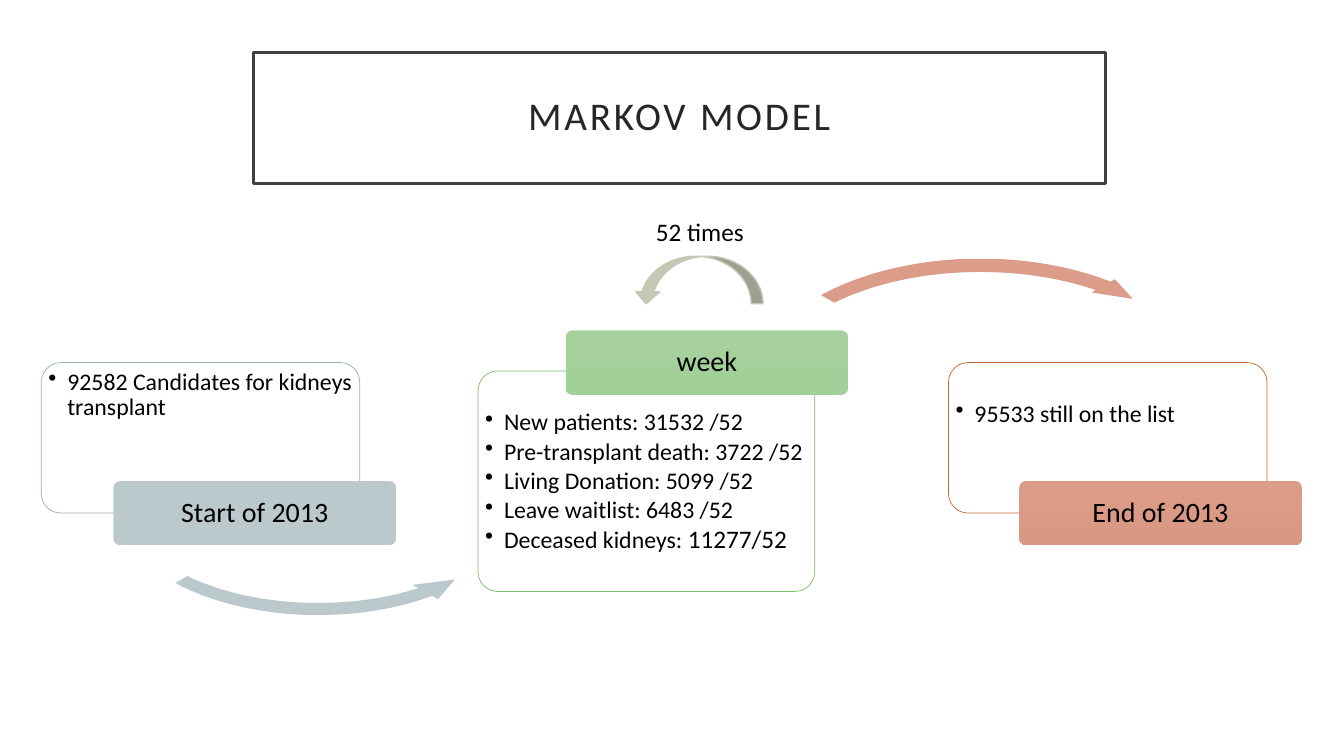
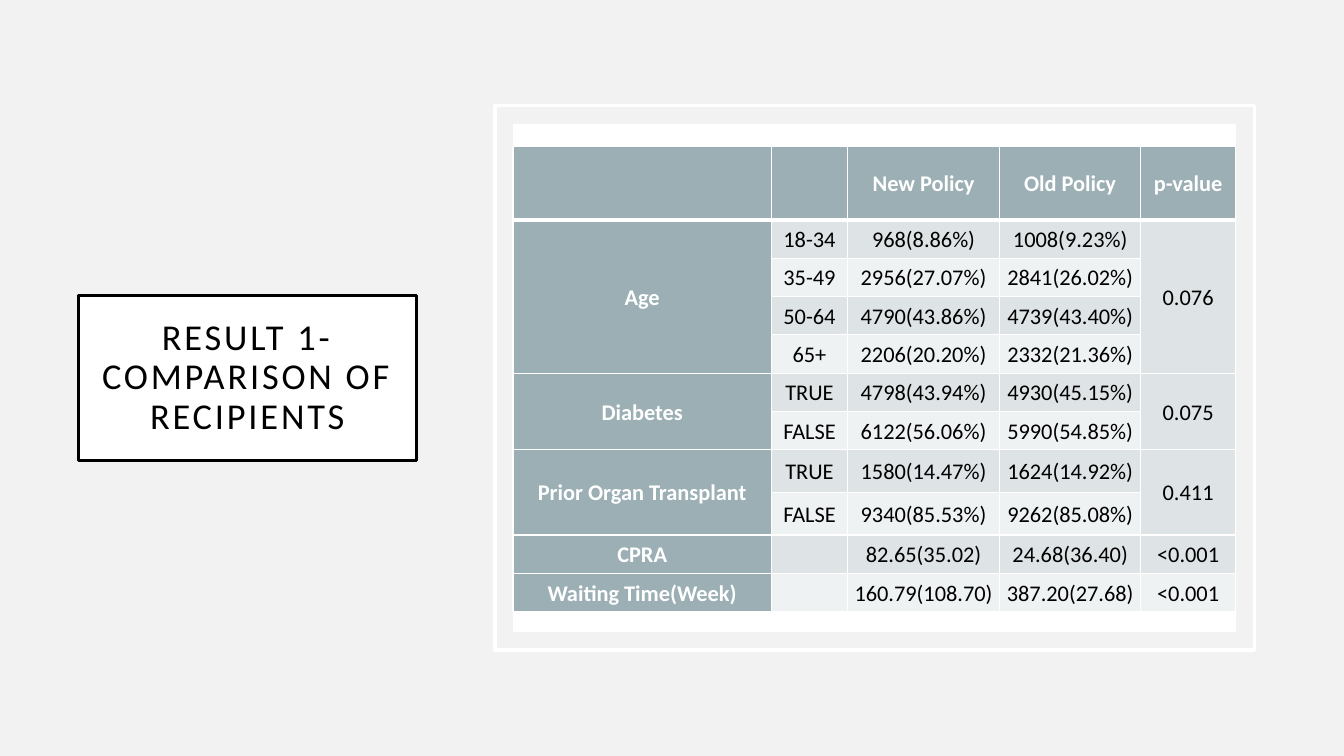
import pptx
import pptx.dml.color
import pptx.enum.shapes
import pptx.enum.text
import pptx.oxml
import pptx.oxml.ns
import pptx.util

Pt = pptx.util.Pt
SHAPES = pptx.enum.shapes.MSO_SHAPE
ALIGN = pptx.enum.text.PP_ALIGN
ANCHOR = pptx.enum.text.MSO_ANCHOR

FONT = "Calibri"
COLORS = {
    "white": "FFFFFF", "black": "000000", "charcoal": "404040", "title": "262626",
    "page": "F2F2F2", "slate": "9BAFB5", "band": "DEE3E5", "band_light": "EFF2F3",
    "green": "7ABC69", "rust": "C96731", "loop": "C4C8B5",
}
GRADIENTS = {
    "start": ("BBC8CC", "B8C6CB"),
    "week": ("A6D19D", "A2D099"),
    "end": ("DB9C89", "DA9882"),
}
BOX_RADIUS = 14
LABEL_RADIUS = 5
LABEL_SIZE = (202, 46)

HEADINGS = ["", "", "New Policy", "Old Policy", "p-value"]
GROUPS = [
    ("Age", "0.076", [
        ("18-34", "968(8.86%)", "1008(9.23%)"),
        ("35-49", "2956(27.07%)", "2841(26.02%)"),
        ("50-64", "4790(43.86%)", "4739(43.40%)"),
        ("65+", "2206(20.20%)", "2332(21.36%)"),
    ]),
    ("Diabetes", "0.075", [
        ("TRUE", "4798(43.94%)", "4930(45.15%)"),
        ("FALSE", "6122(56.06%)", "5990(54.85%)"),
    ]),
    ("Prior Organ Transplant", "0.411", [
        ("TRUE", "1580(14.47%)", "1624(14.92%)"),
        ("FALSE", "9340(85.53%)", "9262(85.08%)"),
    ]),
    ("CPRA", "<0.001", [("", "82.65(35.02)", "24.68(36.40)")]),
    ("Waiting Time(Week)", "<0.001", [("", "160.79(108.70)", "387.20(27.68)")]),
]
COLUMN_WIDTHS = [184.5, 54.5, 108.5, 101, 67.5]
ROW_HEIGHTS = [52.5] + [27.4] * 6 + [30.4] * 2 + [27.4] * 2


def rgb(name):
    return pptx.dml.color.RGBColor.from_string(COLORS[name])


def add_text(paragraph, text, size=16, color="black", bold=False, spacing=0,
             align=ALIGN.LEFT, line_spacing=0.9):
    paragraph.alignment = align
    paragraph.line_spacing = line_spacing
    run = paragraph.add_run()
    run.text = text
    run.font.name = FONT
    run.font.size = Pt(size)
    run.font.bold = bold
    run.font.color.rgb = rgb(color)
    if spacing:
        run.font._element.set("spc", str(spacing * 100))


def set_margins(target, left, top, right, bottom):
    target.margin_left, target.margin_top = Pt(left), Pt(top)
    target.margin_right, target.margin_bottom = Pt(right), Pt(bottom)


def add_shape(slide, kind, bounds, fill=None, gradient=None, line=None, line_width=1,
              adjustments=()):
    shape = slide.shapes.add_shape(kind, *map(Pt, bounds))
    shape.shadow.inherit = False
    for index, value in enumerate(adjustments):
        shape.adjustments[index] = value
    if gradient:
        shape.fill.gradient()
        shape.fill.gradient_angle = 270
        for stop, color in zip(shape.fill.gradient_stops, GRADIENTS[gradient]):
            stop.color.rgb = pptx.dml.color.RGBColor.from_string(color)
    elif fill:
        shape.fill.solid()
        shape.fill.fore_color.rgb = rgb(fill)
    else:
        shape.fill.background()
    if line:
        shape.line.color.rgb = rgb(line)
        shape.line.width = Pt(line_width)
    else:
        shape.line.fill.background()
    return shape


def add_title(slide, text, bounds, size, color, line):
    shape = add_shape(slide, SHAPES.RECTANGLE, bounds, fill="white", line=line, line_width=2.5)
    frame = shape.text_frame
    frame.word_wrap = True
    frame.vertical_anchor = ANCHOR.MIDDLE
    set_margins(frame, 14.4, 14.4, 14.4, 14.4)
    add_text(frame.paragraphs[0], text, size=size, color=color, spacing=2, align=ALIGN.CENTER)


def add_bullet(paragraph, runs):
    for text, size in runs:
        add_text(paragraph, text, size=size)
    paragraph.space_after = Pt(2.5)
    properties = paragraph._p.get_or_add_pPr()
    properties.set("marL", str(Pt(13.5)))
    properties.set("indent", str(Pt(-13.5)))
    bullet = pptx.oxml.parse_xml(
        f'<a:buChar {pptx.oxml.ns.nsdecls("a")} char="•"/>')
    properties.append(bullet)


def add_stage(slide, name, gradient, line, bounds, label_position, bullets, top_margin):
    box = add_shape(slide, SHAPES.ROUNDED_RECTANGLE, bounds, fill="white", line=line,
                    line_width=0.5, adjustments=[BOX_RADIUS / min(bounds[2:])])
    frame = box.text_frame
    frame.word_wrap = True
    frame.vertical_anchor = ANCHOR.TOP
    set_margins(frame, 1, top_margin, 1, 1)
    for index, runs in enumerate(bullets):
        add_bullet(frame.add_paragraph() if index else frame.paragraphs[0], runs)
    label = add_shape(slide, SHAPES.ROUNDED_RECTANGLE, label_position + LABEL_SIZE,
                      gradient=gradient, adjustments=[LABEL_RADIUS / LABEL_SIZE[1]])
    label.text_frame.vertical_anchor = ANCHOR.MIDDLE
    add_text(label.text_frame.paragraphs[0], name, size=20, align=ALIGN.CENTER)


def add_caption(slide, text, bounds):
    frame = slide.shapes.add_textbox(*map(Pt, bounds)).text_frame
    frame.word_wrap = False
    add_text(frame.paragraphs[0], text, size=18, line_spacing=1)


def add_borders(cell, top=1, bottom=1):
    properties = cell._tc.get_or_add_tcPr()
    for side, width in (("L", 1), ("R", 1), ("T", top), ("B", bottom)):
        properties.append(pptx.oxml.parse_xml(
            f'<a:ln{side} {pptx.oxml.ns.nsdecls("a")} w="{Pt(width)}"><a:solidFill>'
            f'<a:srgbClr val="{COLORS["white"]}"/></a:solidFill></a:ln{side}>'))


def fill_cell(cell, row, column, text):
    heading = row == 0 or column == 0
    add_borders(cell, top=3 if row == 1 else 1, bottom=3 if row == 0 else 1)
    cell.fill.solid()
    cell.fill.fore_color.rgb = rgb("slate" if heading else "band" if row % 2 else "band_light")
    cell.vertical_anchor = ANCHOR.MIDDLE
    set_margins(cell, 3.6, 0, 3.6, 0)
    if text:
        add_text(cell.text_frame.paragraphs[0], text, color="white" if heading else "black",
                 bold=heading, align=ALIGN.CENTER, line_spacing=1.07)


def add_recipient_table(slide, left, top):
    rows = [HEADINGS]
    spans = []
    for name, p_value, levels in GROUPS:
        spans.append((len(rows), len(rows) + len(levels) - 1))
        for index, level in enumerate(levels):
            first = index == 0
            rows.append([name if first else "", *level, p_value if first else ""])
    table = slide.shapes.add_table(
        len(rows), len(HEADINGS), Pt(left), Pt(top),
        Pt(sum(COLUMN_WIDTHS)), Pt(sum(ROW_HEIGHTS))).table
    table.first_row = table.horz_banding = False
    for column, width in zip(table.columns, COLUMN_WIDTHS):
        column.width = Pt(width)
    for row, height in zip(table.rows, ROW_HEIGHTS):
        row.height = Pt(height)
    for row, values in enumerate(rows):
        for column, text in enumerate(values):
            fill_cell(table.cell(row, column), row, column, text)
    for first, last in spans:
        if last > first:
            for column in (0, len(HEADINGS) - 1):
                table.cell(first, column).merge(table.cell(last, column))


def build_markov_slide(slide):
    add_title(slide, "MARKOV MODEL", (181, 37.5, 608.5, 93.5), 28, "title", "charcoal")
    add_shape(slide, SHAPES.LEFT_CIRCULAR_ARROW, (75, 271.5, 304.5, 174), gradient="start",
              adjustments=[0.05, 6.29, 24.04, 90.24, 0.06])
    add_shape(slide, SHAPES.CIRCULAR_ARROW, (533.5, 180, 333.5, 191), gradient="end",
              adjustments=[0.05, 5.68, 192.56, 125.76, 0.05])
    add_stage(slide, "Start of 2013", "start", "slate", (29.5, 259, 227.5, 107.5),
              (81, 343.5), [[("92582 Candidates for kidneys transplant", 17)]], 1)
    add_stage(slide, "week", "week", "green", (341.5, 265, 240.5, 157.5), (404, 236), [
        [("New patients: 31532 /52", 17)],
        [("Pre-transplant death: 3722 /52", 17)],
        [("Living Donation: 5099 /52", 17)],
        [("Leave waitlist: 6483 /52", 17)],
        [("Deceased kidneys: ", 17), ("11277/52", 18)],
    ], 24)
    add_stage(slide, "End of 2013", "end", "rust", (677.5, 259, 227.5, 107.5),
              (728, 343.5), [[("95533 still on the list", 17)]], 24)
    loop = add_shape(slide, SHAPES.CURVED_UP_ARROW, (453, 183, 92, 34), fill="loop", line="loop")
    loop.rotation = 180
    add_caption(slide, "52 times", (461.5, 151, 78, 29))


def build_result_slide(slide):
    slide.background.fill.solid()
    slide.background.fill.fore_color.rgb = rgb("page")
    add_shape(slide, SHAPES.RECTANGLE, (353.5, 75.5, 542.5, 389), line="white", line_width=2.5)
    add_shape(slide, SHAPES.RECTANGLE, (366.5, 88.5, 516.5, 363), fill="white")
    add_title(slide, "RESULT 1- COMPARISON OF RECIPIENTS", (56, 211, 241.5, 118), 26,
              "black", "black")
    add_recipient_table(slide, 366.5, 104.5)


def main():
    presentation = pptx.Presentation()
    presentation.slide_width, presentation.slide_height = Pt(960), Pt(540)
    for build in (build_markov_slide, build_result_slide):
        build(presentation.slides.add_slide(presentation.slide_layouts[6]))
    presentation.save("out.pptx")


if __name__ == "__main__":
    main()
